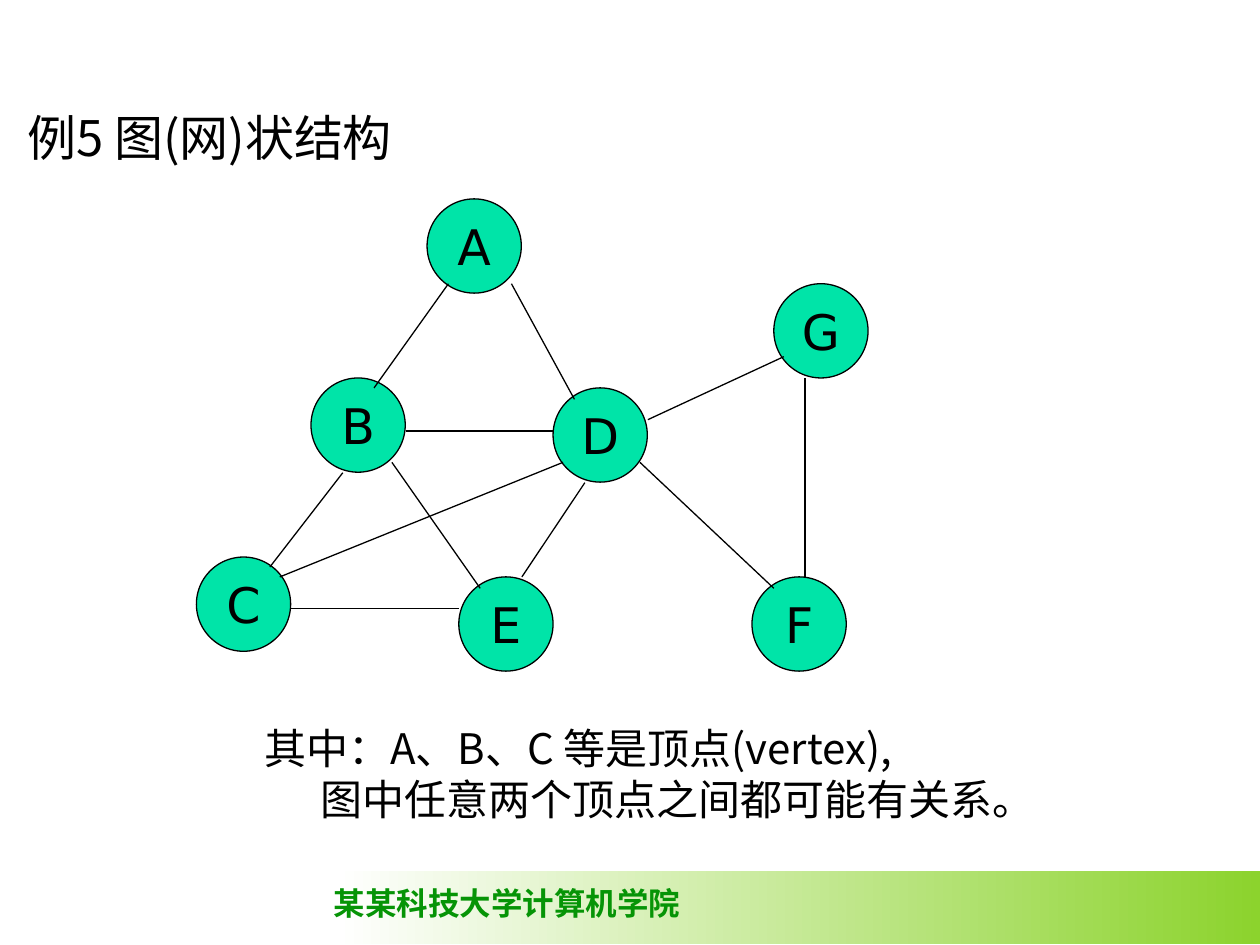
from lxml import etree
from pptx import Presentation
from pptx.dml.color import RGBColor
from pptx.enum import shapes, text
from pptx.oxml.ns import qn
from pptx.util import Cm, Pt

CJK, LATIN, SERIF = "Noto Sans CJK SC", "DejaVu Sans", "Times New Roman"
BLACK, NODE_FILL = "000000", "00E4A8"
DIAMETER = 1.9

# Left and top of each vertex, in cm
VERTICES = {
    "A": (8.61, 4.01),
    "B": (6.27, 7.62),
    "D": (11.15, 7.82),
    "C": (3.96, 11.23),
    "E": (9.25, 11.63),
    "F": (15.16, 11.63),
    "G": (15.6, 5.72),
}

# Start and end of each edge, in cm
EDGES = [
    (9.04, 5.72, 7.54, 7.82),     # A-B
    (6.91, 9.53, 5.44, 11.43),    # B-C
    (10.31, 5.72, 11.58, 8.05),   # A-D
    (11.79, 9.73, 10.52, 11.63),  # D-E
    (5.87, 12.27, 9.25, 12.27),   # C-E
    (7.9, 9.32, 9.68, 11.86),     # B-E
    (8.18, 8.69, 11.15, 8.69),    # B-D
    (13.06, 8.46, 15.8, 7.19),    # D-G
    (16.23, 7.62, 16.23, 11.63),  # G-F
    (12.9, 9.32, 15.6, 11.86),    # D-F
    (5.64, 11.63, 11.35, 9.32),   # C-D
]


def rgb(value):
    return RGBColor.from_string(value)


def format_text(tf, size, font, color=BLACK, bold=False):
    """Format every run, with the CJK font for Chinese characters."""
    for p in tf.paragraphs:
        for r in p.runs:
            r.font.size, r.font.name, r.font.bold = Pt(size), font, bold
            r.font.color.rgb = rgb(color)
            ea = etree.Element(qn("a:ea"), typeface=CJK)
            r.font._element.find(qn("a:latin")).addnext(ea)


def add_text(slide, box, content, size, font=CJK, color=BLACK, bold=False,
             wrap=True, anchor=text.MSO_ANCHOR.TOP):
    tf = slide.shapes.add_textbox(*map(Cm, box)).text_frame
    tf.word_wrap, tf.vertical_anchor = wrap, anchor
    tf.text = content
    format_text(tf, size, font, color, bold)
    return tf


def add_footer_band(slide):
    sp = slide.shapes.add_shape(shapes.MSO_SHAPE.RECTANGLE,
                                Cm(6.78), Cm(17.55), Cm(18.62), Cm(1.48))
    sp.shadow.inherit = False
    sp.line.fill.background()
    sp.fill.gradient()
    sp.fill.gradient_angle = 0
    for stop, position, color in zip(sp.fill.gradient_stops, (0, 1),
                                     ("FFFFFF", "8CD32D")):
        stop.position = position
        stop.color.rgb = rgb(color)


def add_vertex(slide, name, left, top):
    sp = slide.shapes.add_shape(shapes.MSO_SHAPE.OVAL, Cm(left), Cm(top),
                                Cm(DIAMETER), Cm(DIAMETER))
    sp.shadow.inherit = False
    sp.fill.solid()
    sp.fill.fore_color.rgb = rgb(NODE_FILL)
    sp.line.color.rgb = rgb(BLACK)
    sp.line.width = Pt(0.75)
    tf = sp.text_frame
    tf.word_wrap, tf.vertical_anchor = False, text.MSO_ANCHOR.MIDDLE
    tf.text = name
    tf.paragraphs[0].alignment = text.PP_ALIGN.CENTER
    format_text(tf, 28, LATIN)


def add_edge(slide, points):
    line = slide.shapes.add_connector(shapes.MSO_CONNECTOR.STRAIGHT,
                                      *map(Cm, points))
    line.line.color.rgb = rgb(BLACK)
    line.line.width = Pt(0.75)
    etree.SubElement(line._element.spPr, qn("a:effectLst"))


def main():
    prs = Presentation()
    prs.slide_width, prs.slide_height = Cm(25.4), Cm(19.05)
    slide = prs.slides.add_slide(prs.slide_layouts[6])

    add_footer_band(slide)
    add_text(slide, (6.48, 17.7, 7.49, 1.02), "某某科技大学计算机学院", 18,
             SERIF, "069406", bold=True, wrap=False)
    add_text(slide, (0.3, 1.32, 13.64, 2.16), "例5 图(网)状结构", 28,
             anchor=text.MSO_ANCHOR.BOTTOM)
    note = add_text(slide, (5.08, 14.45, 16.2, 2.29),
                    "其中：A、B、C 等是顶点(vertex),\n"
                    "图中任意两个顶点之间都可能有关系。", 24)
    note.paragraphs[1]._p.get_or_add_pPr().set("marL", str(Cm(1.14)))

    for name, (left, top) in VERTICES.items():
        add_vertex(slide, name, left, top)
    for points in EDGES:
        add_edge(slide, points)

    prs.save("out.pptx")


if __name__ == "__main__":
    main()
